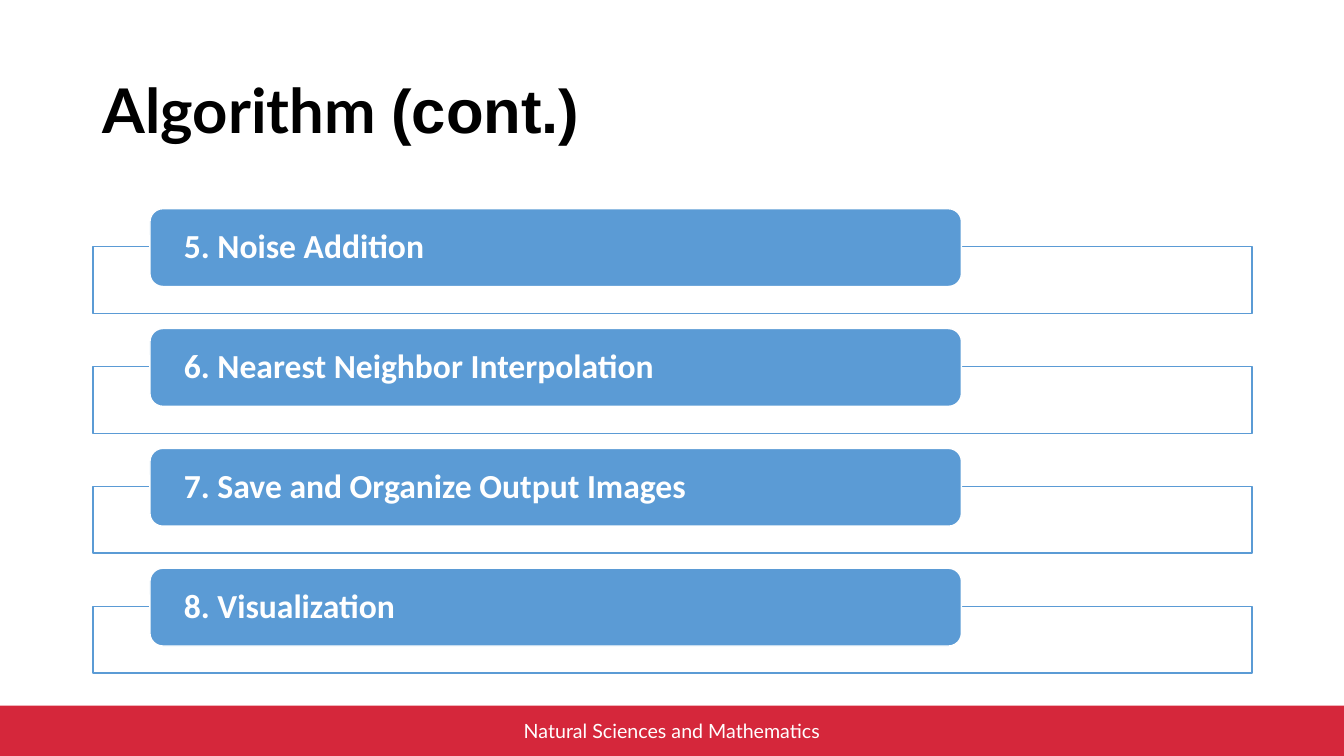
from lxml.etree import SubElement
from pptx import Presentation
from pptx.dml.color import RGBColor
from pptx.enum.shapes import MSO_SHAPE as SHAPE
from pptx.enum.text import MSO_ANCHOR as ANCHOR, MSO_AUTO_SIZE as AUTO_SIZE, PP_ALIGN as ALIGN
from pptx.oxml.ns import qn
from pptx.util import Cm, Pt

RED = RGBColor(0xD5, 0x27, 0x3B)
BLUE = RGBColor(0x5B, 0x9B, 0xD5)
WHITE = RGBColor(0xFF, 0xFF, 0xFF)
BLACK = RGBColor(0x00, 0x00, 0x00)

WIDTH, HEIGHT = 33.87, 19.05
LEFT, CONTENT_WIDTH = 2.34, 29.21
FIRST_STEP_TOP, STEP_PITCH = 5.26, 3.02
STEPS = [
    "5. Noise Addition",
    "6. Nearest Neighbor Interpolation",
    "7. Save and Organize Output Images",
    "8. Visualization",
]


class SlideBuilder:
    """Holds the text style and the slide being filled."""

    heading_font = "Lato"
    step_font = "Calibri"

    def __init__(self, prs):
        self.s = prs.slides.add_slide(prs.slide_layouts[5])

    def run(self, p, text, font, size, color, bold=False):
        r = p.add_run()
        r.text = text
        r.font.name = font
        r.font.size = Pt(size)
        r.font.bold = bold
        r.font.color.rgb = color

    def title(self, *parts):
        """Fill the title placeholder from (text, font) pairs."""
        sp = self.s.shapes.title
        sp.left, sp.top, sp.width, sp.height = Cm(LEFT), Cm(1.02), Cm(CONTENT_WIDTH), Cm(3.68)
        tf = sp.text_frame
        tf.auto_size = AUTO_SIZE.NONE
        tf.vertical_anchor = ANCHOR.MIDDLE
        p = tf.paragraphs[0]
        p.alignment = ALIGN.LEFT
        p.line_spacing = 0.9
        for text, font in parts:
            self.run(p, text, font, 44, BLACK, bold=True)

    def box(self, kind, x, y, w, h, fill, line=None):
        sp = self.s.shapes.add_shape(kind, Cm(x), Cm(y), Cm(w), Cm(h))
        sp.shadow.inherit = False
        sp.fill.solid()
        sp.fill.fore_color.rgb = fill
        if line is None:
            sp.line.fill.background()
        else:
            sp.line.color.rgb = line
            sp.line.width = Pt(1)
        sp.text_frame.vertical_anchor = ANCHOR.MIDDLE
        return sp

    def footer(self, text):
        sp = self.box(SHAPE.RECTANGLE, 0, HEIGHT - 1.27, WIDTH, 1.27, RED)
        p = sp.text_frame.paragraphs[0]
        p.alignment = ALIGN.CENTER
        self.run(p, text, self.heading_font, 14, WHITE)

    def step(self, y, text):
        """Draw a rounded label over the top edge of its outlined frame."""
        frame = self.box(SHAPE.RECTANGLE, LEFT, y + 0.96, CONTENT_WIDTH, 1.68, WHITE, BLUE)
        color = frame.fill._xPr.find(qn("a:solidFill"))[0]
        SubElement(color, qn("a:alpha"), val="90000")

        label = self.box(SHAPE.ROUNDED_RECTANGLE, 3.78, y, 20.45, 1.96, BLUE, WHITE)
        tf = label.text_frame
        tf.margin_left = tf.margin_right = Cm(0.76)
        tf.margin_top = tf.margin_bottom = 0
        p = tf.paragraphs[0]
        p.alignment = ALIGN.LEFT
        p.line_spacing = 0.9
        self.run(p, text, self.step_font, 24, WHITE, bold=True)


def main():
    prs = Presentation()
    prs.slide_width, prs.slide_height = Cm(WIDTH), Cm(HEIGHT)
    slide = SlideBuilder(prs)
    slide.footer("Natural Sciences and Mathematics")
    slide.title(("Algorithm ", "Lato"), ("(cont.)", "Arial"))
    for i, text in enumerate(STEPS):
        slide.step(FIRST_STEP_TOP + i * STEP_PITCH, text)
    prs.save("out.pptx")


if __name__ == "__main__":
    main()
